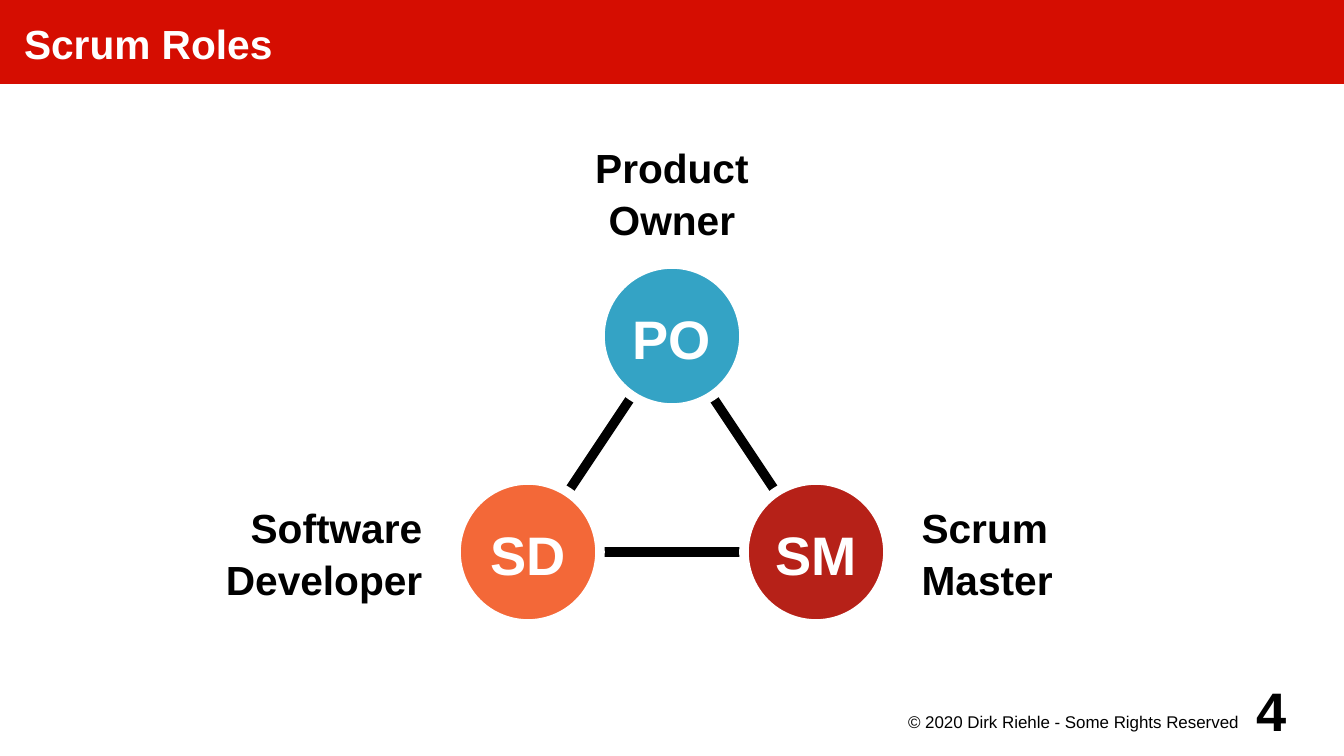
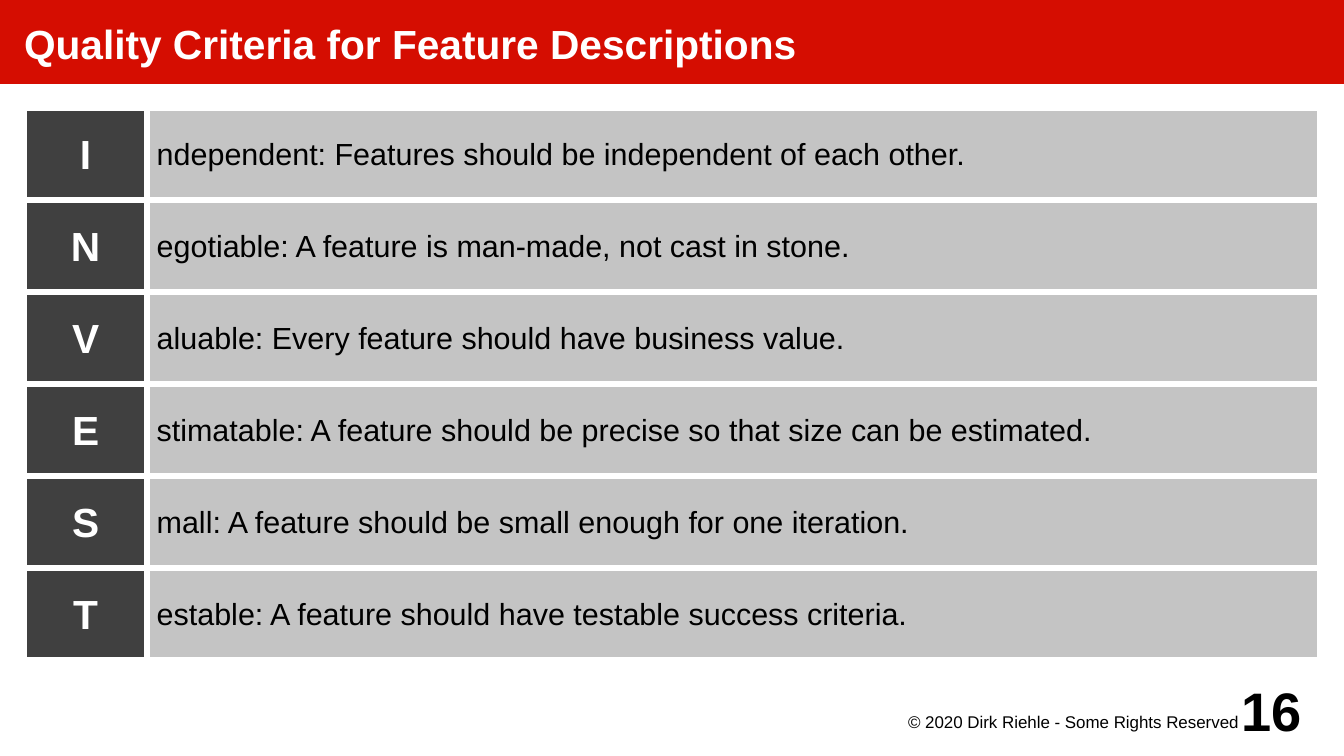
from dataclasses import dataclass

from lxml.etree import SubElement
from pptx import Presentation
from pptx.dml.color import RGBColor
from pptx.enum.shapes import MSO_CONNECTOR, MSO_SHAPE
from pptx.enum.text import MSO_ANCHOR, MSO_AUTO_SIZE, PP_ALIGN
from pptx.oxml.ns import qn
from pptx.slide import Slide
from pptx.text.text import TextFrame
from pptx.util import Length, Pt

UNIT = 14.17  # grid step in points; the slide is 56 by 31.5 steps


@dataclass(frozen=True)
class Theme:
    font: str = "Arial"
    band: str = "D50D01"
    white: str = "FFFFFF"
    black: str = "000000"
    owner: str = "34A3C5"
    master: str = "B62118"
    developer: str = "F36838"
    letter_fill: str = "404040"
    criterion_fill: str = "C4C4C4"
    heading_size: float = 24
    large_size: float = 32
    body_size: float = 18
    footer_size: float = 10
    line_spacing: float = 1.05
    stroke: float = 5.67
    cell_border: float = 4.54


@dataclass(frozen=True)
class TextStyle:
    size: float
    color: str
    bold: bool = True
    alignment: PP_ALIGN = PP_ALIGN.LEFT


@dataclass(frozen=True)
class Box:
    """Left, top, width and height in grid steps."""
    left: float
    top: float
    width: float
    height: float

    def lengths(self) -> tuple[Length, ...]:
        return tuple(Pt(steps * UNIT)
                     for steps in (self.left, self.top, self.width, self.height))

    def center(self) -> tuple[Length, Length]:
        return (Pt((self.left + self.width / 2) * UNIT),
                Pt((self.top + self.height / 2) * UNIT))


@dataclass(frozen=True)
class Role:
    initials: str
    color: str
    circle: Box
    label: tuple[str, ...]
    label_box: Box
    label_alignment: PP_ALIGN


@dataclass(frozen=True)
class Criterion:
    letter: str
    text: str


THEME = Theme()
TITLE_BOX = Box(0, 0, 56, 3.5)
FOOTER_BOX = Box(36, 29.5, 16, 1.5)
NUMBER_BOX = Box(51, 28, 4, 3)
TABLE_BOX = Box(1, 4.5, 54, 23)
LETTER_COLUMN = 5.13
FOOTER_TEXT = "© 2020 Dirk Riehle - Some Rights Reserved"

ROLES = (
    Role("SM", THEME.master, Box(31, 20, 6, 6), ("Scrum\nMaster",),
         Box(38, 20, 16, 6), PP_ALIGN.LEFT),
    Role("PO", THEME.owner, Box(25, 11, 6, 6), ("Product\nOwner",),
         Box(20, 5, 16, 6), PP_ALIGN.CENTER),
    Role("SD", THEME.developer, Box(19, 20, 6, 6), ("Software", "Developer"),
         Box(2, 20, 16, 6), PP_ALIGN.RIGHT),
)

CRITERIA = (
    Criterion("I", "ndependent: Features should be independent of each other."),
    Criterion("N", "egotiable: A feature is man-made, not cast in stone."),
    Criterion("V", "aluable: Every feature should have business value."),
    Criterion("E", "stimatable: A feature should be precise so that size can be estimated."),
    Criterion("S", "mall: A feature should be small enough for one iteration."),
    Criterion("T", "estable: A feature should have testable success criteria."),
)


def rgb(color: str) -> RGBColor:
    return RGBColor.from_string(color)


# Text

def write(frame: TextFrame, paragraphs: tuple[str, ...], style: TextStyle) -> None:
    for index, text in enumerate(paragraphs):
        paragraph = frame.add_paragraph() if index else frame.paragraphs[0]
        paragraph.alignment = style.alignment
        paragraph.line_spacing = THEME.line_spacing
        paragraph.space_before = paragraph.space_after = Pt(0)
        for line_index, line in enumerate(text.split("\n")):
            if line_index:
                paragraph.add_line_break()
            run = paragraph.add_run()
            run.text = line
            run.font.name = THEME.font
            run.font.size = Pt(style.size)
            run.font.bold = style.bold
            run.font.color.rgb = rgb(style.color)


def set_frame(frame: TextFrame, insets: tuple[float, ...], wrap: bool = True,
              anchor: MSO_ANCHOR = MSO_ANCHOR.MIDDLE) -> None:
    frame.auto_size = MSO_AUTO_SIZE.NONE
    frame.word_wrap = wrap
    frame.vertical_anchor = anchor
    (frame.margin_left, frame.margin_top,
     frame.margin_right, frame.margin_bottom) = map(Pt, insets)


def add_text(slide: Slide, box: Box, paragraphs: tuple[str, ...], style: TextStyle,
             insets: tuple[float, ...], anchor: MSO_ANCHOR = MSO_ANCHOR.MIDDLE) -> None:
    frame = slide.shapes.add_textbox(*box.lengths()).text_frame
    set_frame(frame, insets, anchor=anchor)
    write(frame, paragraphs, style)


# Shared slide frame

def add_slide(presentation: Presentation, title: str, number: int) -> Slide:
    slide = presentation.slides.add_slide(presentation.slide_layouts[5])
    shape = slide.shapes.title
    shape.left, shape.top, shape.width, shape.height = TITLE_BOX.lengths()
    shape.fill.solid()
    shape.fill.fore_color.rgb = rgb(THEME.band)
    set_frame(shape.text_frame, (UNIT, 0, 0, 0))
    write(shape.text_frame, (title,), TextStyle(THEME.heading_size, THEME.white))
    add_text(slide, FOOTER_BOX, (FOOTER_TEXT,),
             TextStyle(THEME.footer_size, THEME.black, False, PP_ALIGN.RIGHT),
             (0, 1.4, 5.67, 0), MSO_ANCHOR.TOP)
    add_text(slide, NUMBER_BOX, (str(number),),
             TextStyle(THEME.large_size, THEME.black, True, PP_ALIGN.CENTER),
             (0, 0, 0, 0))
    return slide


# Role triangle

def add_link(slide: Slide, start: Role, end: Role) -> None:
    link = slide.shapes.add_connector(
        MSO_CONNECTOR.STRAIGHT, *start.circle.center(), *end.circle.center())
    link.line.color.rgb = rgb(THEME.black)
    link.line.width = Pt(THEME.stroke)
    SubElement(link._element.spPr, qn("a:effectLst"))


def add_role(slide: Slide, role: Role) -> None:
    circle = slide.shapes.add_shape(MSO_SHAPE.OVAL, *role.circle.lengths())
    circle.shadow.inherit = False
    circle.fill.solid()
    circle.fill.fore_color.rgb = rgb(role.color)
    circle.line.color.rgb = rgb(THEME.white)
    circle.line.width = Pt(THEME.stroke)
    set_frame(circle.text_frame, (7.2,) * 4, wrap=False)
    write(circle.text_frame, (role.initials,),
          TextStyle(THEME.large_size, THEME.white, True, PP_ALIGN.CENTER))
    add_text(slide, role.label_box, role.label,
             TextStyle(THEME.heading_size, THEME.black, True, role.label_alignment),
             (5.67,) * 4)


def build_roles(presentation: Presentation) -> None:
    slide = add_slide(presentation, "Scrum Roles", 4)
    for index, role in enumerate(ROLES):
        add_link(slide, ROLES[index - 1], role)
    for role in ROLES:
        add_role(slide, role)


# Criteria table

def format_cell(cell, text: str, fill: str, style: TextStyle) -> None:
    properties = cell._tc.get_or_add_tcPr()
    for side in ("lnL", "lnR", "lnT", "lnB"):
        border = SubElement(properties, qn(f"a:{side}"), w=str(Pt(THEME.cell_border)))
        SubElement(SubElement(border, qn("a:solidFill")), qn("a:srgbClr"), val=THEME.white)
    cell.fill.solid()
    cell.fill.fore_color.rgb = rgb(fill)
    cell.vertical_anchor = MSO_ANCHOR.MIDDLE
    cell.margin_left = cell.margin_right = Pt(5.67)
    cell.margin_top = cell.margin_bottom = Pt(3.6)
    write(cell.text_frame, (text,), style)


def build_criteria(presentation: Presentation) -> None:
    slide = add_slide(presentation, "Quality Criteria for Feature Descriptions", 16)
    table = slide.shapes.add_table(len(CRITERIA), 2, *TABLE_BOX.lengths()).table
    table.first_row = table.horz_banding = False
    table.columns[0].width = Pt(LETTER_COLUMN * UNIT)
    table.columns[1].width = Pt((TABLE_BOX.width - LETTER_COLUMN) * UNIT)
    letter_style = TextStyle(THEME.heading_size, THEME.white, True, PP_ALIGN.CENTER)
    text_style = TextStyle(THEME.body_size, THEME.black, False)
    for row, criterion in enumerate(CRITERIA):
        format_cell(table.cell(row, 0), criterion.letter, THEME.letter_fill, letter_style)
        format_cell(table.cell(row, 1), criterion.text, THEME.criterion_fill, text_style)


def main() -> None:
    presentation = Presentation()
    presentation.slide_width = Pt(56 * UNIT)
    presentation.slide_height = Pt(31.5 * UNIT)
    build_roles(presentation)
    build_criteria(presentation)
    presentation.save("out.pptx")


if __name__ == "__main__":
    main()
